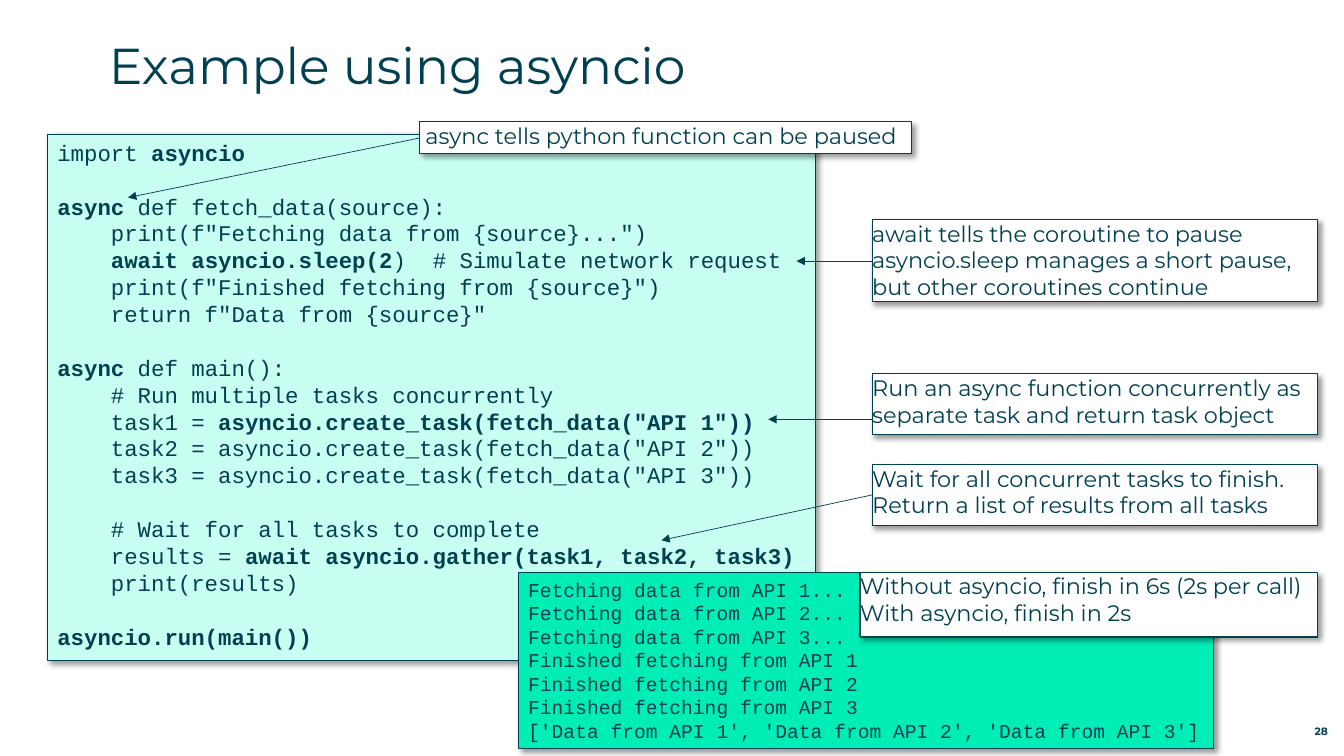
from lxml import etree
from pptx import Presentation, util as u
from pptx.dml import color
from pptx.enum import shapes, text
from pptx.oxml import ns

COLORS = {"ink": "004050", "code": "C8FFF2", "output": "00EDB5", "note": "FFFFFF", "shadow": "000000"}
CODE = '''import **asyncio**

**async** def fetch_data(source):
    print(f"Fetching data from {source}...")
    **await asyncio.sleep(2**)  # Simulate network request
    print(f"Finished fetching from {source}")
    return f"Data from {source}"

**async** def main():
    # Run multiple tasks concurrently
    task1 = **asyncio.create_task(fetch_data("API 1"))**
    task2 = asyncio.create_task(fetch_data("API 2"))
    task3 = asyncio.create_task(fetch_data("API 3"))

    # Wait for all tasks to complete
    results = **await asyncio.gather(task1, task2, task3)**
    print(results)

**asyncio.run(main())**'''
OUTPUT = '''Fetching data from API 1...
Fetching data from API 2...
Fetching data from API 3...
Finished fetching from API 1
Finished fetching from API 2
Finished fetching from API 3
['Data from API 1', 'Data from API 2', 'Data from API 3']'''
NOTES = [
    ((4.16, 1.21, 4.88, 0.31), "async tells python function can be paused", 0.06),
    ((8.65, 2.18, 4.42, 0.81), "await tells the coroutine to pause\n"
     "asyncio.sleep manages a short pause, but other coroutines continue", 0),
    ((8.65, 3.71, 4.42, 0.6), "Run an async function concurrently as separate task and return task object", 0),
    ((8.65, 4.61, 4.42, 0.6), "Wait for all concurrent tasks to finish.\n"
     "Return a list of results from all tasks", 0),
]
ARROWS = [
    ((4.16, 1.37), (1.27, 1.96)),
    ((8.65, 2.59), (7.9, 2.59)),
    ((8.65, 4.16), (7.62, 4.16)),
    ((8.65, 4.91), (6.56, 5.36)),
]
TIMING = ((8.53, 5.68, 4.54, 0.64), "Without asyncio, finish in 6s (2s per call)\nWith asyncio, finish in 2s", 0)


def apply(target, values):
    """Set each attribute named in a dict of format values."""
    for name, value in values.items():
        setattr(target, name, value)


def ink(name):
    """Return the named palette colour."""
    return color.RGBColor.from_string(COLORS[name])


def inches(values):
    """Turn numbers into lengths."""
    return [u.Inches(value) for value in values]


def write(frame, content, font, frame_format, line_height=None):
    """Write lines with **bold** spans, turning empty lines into space before."""
    apply(frame, {"word_wrap": True, "auto_size": text.MSO_AUTO_SIZE.NONE,
                  "vertical_anchor": text.MSO_ANCHOR.TOP, **frame_format})
    para, gap = frame.paragraphs[0], 0
    for number, line in enumerate(content.split("\n")):
        if not line:
            gap += line_height
            continue
        if number:
            para = frame.add_paragraph()
        para.alignment = text.PP_ALIGN.LEFT
        if line_height:
            para.line_spacing = u.Pt(line_height)
        if gap:
            para.space_before, gap = u.Pt(gap), 0
        for part, words in enumerate(line.split("**")):
            if words:
                span = para.add_run()
                span.text = words
                apply(span.font, {"bold": part % 2 == 1, **font})
                span.font.color.rgb = ink("ink")


def add_panel(page, box, fill):
    """Add an outlined rectangle with a soft shadow."""
    panel = page.shapes.add_shape(shapes.MSO_SHAPE.RECTANGLE, *inches(box))
    panel.fill.solid()
    panel.fill.fore_color.rgb = ink(fill)
    panel.line.color.rgb = ink("ink")
    panel.line.width = u.Pt(0.75)
    panel.shadow.inherit = False
    effects = panel._element.spPr.find(ns.qn("a:effectLst"))
    shadow = etree.SubElement(effects, ns.qn("a:outerShdw"), blurRad=str(u.Pt(4)), dist=str(u.Pt(3)),
                              dir="2700000", algn="tl", rotWithShape="0")
    tint = etree.SubElement(shadow, ns.qn("a:srgbClr"), val=COLORS["shadow"])
    etree.SubElement(tint, ns.qn("a:alpha"), val="40000")
    return panel


def add_listing(page, box, content, fill, size):
    """Add a panel of monospaced lines."""
    panel = add_panel(page, box, fill)
    write(panel.text_frame, content, {"name": "Courier New", "size": u.Pt(size)}, {}, size * 1.2)


def add_note(page, box, content, indent):
    """Add a white note with tight margins."""
    panel = add_panel(page, box, "note")
    write(panel.text_frame, content, {"name": "Montserrat", "size": u.Pt(16)},
          {"margin_left": u.Inches(indent), "margin_top": 0, "margin_right": 0, "margin_bottom": 0})


def add_arrow(page, start, end):
    """Add a thin line with an arrowhead at its end."""
    arrow = page.shapes.add_connector(shapes.MSO_CONNECTOR.STRAIGHT, *inches(start + end))
    arrow.line.color.rgb = ink("ink")
    arrow.line.width = u.Pt(0.5)
    etree.SubElement(arrow.line._get_or_add_ln(), ns.qn("a:tailEnd"), type="triangle")
    etree.SubElement(arrow._element.spPr, ns.qn("a:effectLst"))


def add_title(page, box, content):
    """Place and write the title."""
    title = page.shapes.title
    apply(title, dict(zip(("left", "top", "width", "height"), inches(box))))
    write(title.text_frame, content, {"name": "Montserrat", "size": u.Pt(36)},
          {"margin_left": 0, "margin_top": 0, "margin_right": 0, "margin_bottom": 0})


def add_page_number(page, box, number):
    """Write the page number at the lower right."""
    frame = page.shapes.add_textbox(*inches(box)).text_frame
    write(frame, number, {"name": "Montserrat", "size": u.Pt(7.6), "bold": True},
          {"margin_left": 0, "margin_top": 0, "margin_right": 0, "margin_bottom": 0,
           "vertical_anchor": text.MSO_ANCHOR.BOTTOM})
    frame.paragraphs[0].alignment = text.PP_ALIGN.RIGHT


def main():
    """Build the slide and save it."""
    deck = Presentation()
    apply(deck, {"slide_width": u.Inches(13.33), "slide_height": u.Inches(7.5)})
    page = deck.slides.add_slide(deck.slide_layouts[5])
    add_title(page, (1.08, 0.34, 12, 0.88), "Example using asyncio")
    add_listing(page, (0.47, 1.33, 7.62, 5.22), CODE, "code", 16)
    for note in NOTES:
        add_note(page, *note)
    for start, end in ARROWS:
        add_arrow(page, start, end)
    add_listing(page, (5.14, 5.68, 6.9, 1.75), OUTPUT, "output", 14)
    add_page_number(page, (12.31, 7.12, 0.86, 0.2), "28")
    add_note(page, *TIMING)
    deck.save("out.pptx")


if __name__ == "__main__":
    main()
